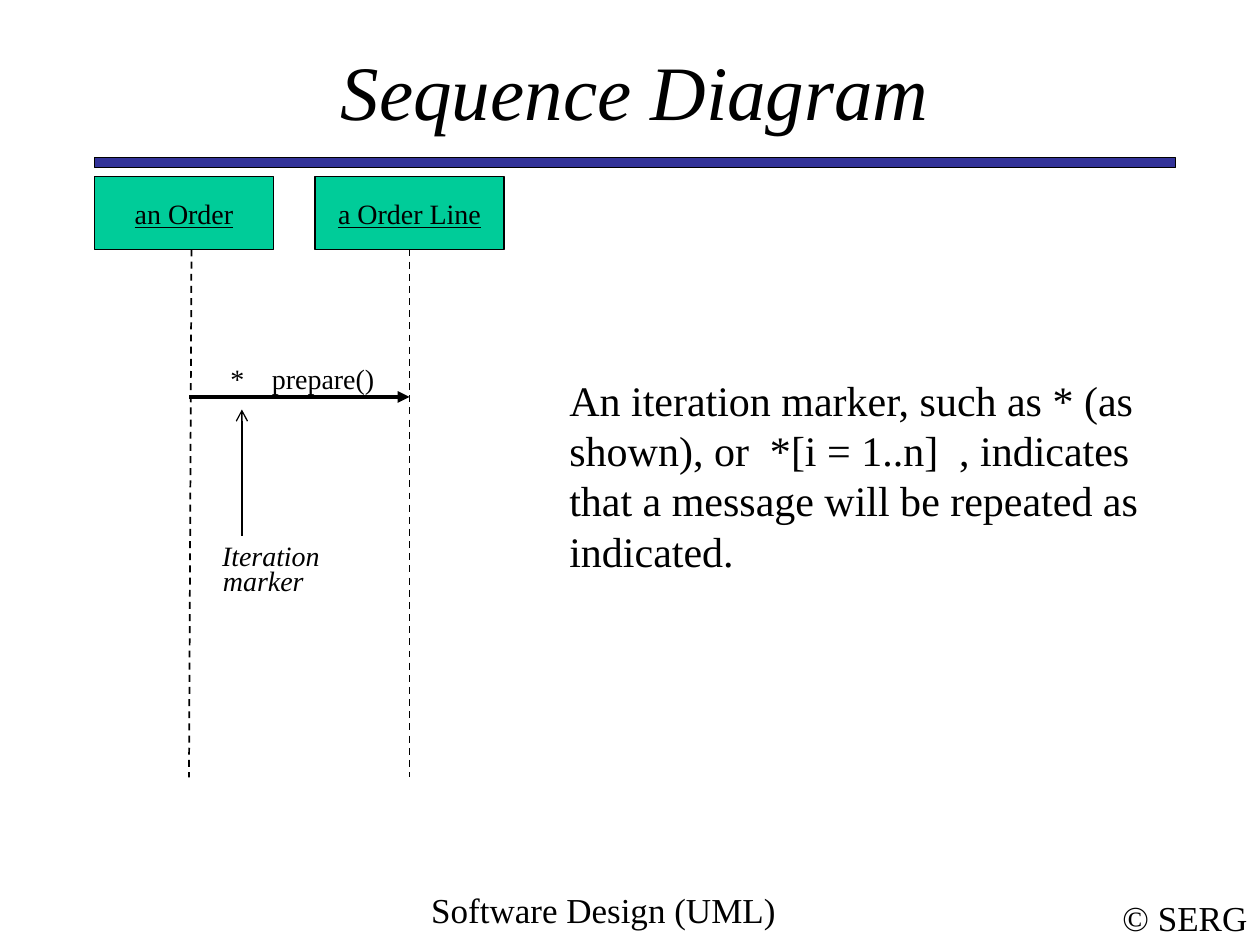
"""Build the sequence diagram slide that explains the iteration marker."""
from dataclasses import dataclass

from lxml.etree import SubElement
from pptx import Presentation
from pptx.dml.color import RGBColor
from pptx.enum.dml import MSO_LINE
from pptx.enum.shapes import MSO_CONNECTOR, MSO_SHAPE
from pptx.enum.text import MSO_ANCHOR, PP_ALIGN
from pptx.oxml.ns import qn
from pptx.util import Inches, Pt


@dataclass(frozen=True)
class Theme:
    font: str = "Times New Roman"
    ink: RGBColor = RGBColor(0x00, 0x00, 0x00)
    rule: RGBColor = RGBColor(0x33, 0x33, 0x99)
    lifeline_head: RGBColor = RGBColor(0x00, 0xCC, 0x99)
    title: int = 44
    body: int = 24
    footer: int = 20
    label: int = 16


class SlideBuilder:
    def __init__(self, slide, theme):
        self.slide = slide
        self.theme = theme

    def set_text(self, shape, text, size, align, anchor, wrap=True, italic=False, underline=False, tab=None):
        frame = shape.text_frame
        frame.word_wrap = wrap
        frame.vertical_anchor = anchor
        paragraph = frame.paragraphs[0]
        paragraph.text = text
        paragraph.alignment = align
        if tab is not None:
            tab_list = SubElement(paragraph._p.get_or_add_pPr(), qn("a:tabLst"))
            SubElement(tab_list, qn("a:tab"), pos=str(Inches(tab)), algn="l")
        font = paragraph.font
        font.name = self.theme.font
        font.size = Pt(size)
        font.color.rgb = self.theme.ink
        font.italic = italic
        font.underline = underline

    def text(self, left, top, width, height, text, size,
             align=PP_ALIGN.CENTER, anchor=MSO_ANCHOR.MIDDLE, **style):
        shape = self.slide.shapes.add_textbox(Inches(left), Inches(top), Inches(width), Inches(height))
        self.set_text(shape, text, size, align, anchor, **style)

    def rectangle(self, left, top, width, height, fill, weight):
        shape = self.slide.shapes.add_shape(
            MSO_SHAPE.RECTANGLE, Inches(left), Inches(top), Inches(width), Inches(height))
        shape.shadow.inherit = False
        shape.fill.solid()
        shape.fill.fore_color.rgb = fill
        shape.line.color.rgb = self.theme.ink
        shape.line.width = Pt(weight)
        return shape

    def participant(self, left, width, name):
        shape = self.rectangle(left, 1.4, width, 0.58, self.theme.lifeline_head, 1)
        self.set_text(shape, name, self.theme.label, PP_ALIGN.CENTER, MSO_ANCHOR.MIDDLE,
                      wrap=False, underline=True)
        return shape

    def line(self, start, end, weight, dash=None, arrow=None):
        connector = self.slide.shapes.add_connector(
            MSO_CONNECTOR.STRAIGHT, *(Inches(value) for value in (*start, *end)))
        connector.line.color.rgb = self.theme.ink
        connector.line.width = Pt(weight)
        if dash is not None:
            connector.line.dash_style = dash
        if arrow is not None:
            SubElement(connector.line._get_or_add_ln(), qn("a:tailEnd"), type=arrow)
        SubElement(connector._element.spPr, qn("a:effectLst"))
        return connector


def main():
    presentation = Presentation()
    presentation.slide_width = Inches(10)
    presentation.slide_height = Inches(7.5)
    theme = Theme()
    builder = SlideBuilder(presentation.slides.add_slide(presentation.slide_layouts[6]), theme)

    builder.text(8.81, 7.07, 1.19, 0.43, "© SERG", theme.footer, wrap=False)
    builder.rectangle(0.75, 1.25, 8.58, 0.08, theme.rule, 0.75)
    builder.text(2.58, 7, 4.42, 0.5, "Software Design (UML)", theme.footer, anchor=MSO_ANCHOR.TOP)
    builder.text(0.75, 0.42, 8.58, 0.58, "Sequence Diagram", theme.title, italic=True)

    builder.participant(0.75, 1.42, "an Order")
    order_line = builder.participant(2.5, 1.5, "a Order Line")
    builder.line((1.52, 1.98), (1.5, 6.17), 1, dash=MSO_LINE.DASH)
    order_line_lifeline = builder.line((3.25, 1.98), (3.25, 6.17), 1, dash=MSO_LINE.DASH)
    order_line_lifeline.begin_connect(order_line, 2)

    builder.line((1.5, 3.15), (3.25, 3.15), 2.25, arrow="triangle")
    builder.text(1.73, 2.82, 1.35, 0.37, "*\tprepare()", theme.label,
                 align=PP_ALIGN.LEFT, anchor=MSO_ANCHOR.TOP, wrap=False, tab=0.33)
    builder.text(4.42, 2.92, 5.08, 1.7,
                 "An iteration marker, such as * (as shown), or  *[i = 1..n]  , "
                 "indicates that a message will be repeated as indicated.",
                 theme.body, align=PP_ALIGN.LEFT)

    builder.line((1.92, 4.25), (1.92, 3.25), 0.75, arrow="arrow")
    for left, top, width, word in ((1.66, 4.22, 0.98, "Iteration"), (1.67, 4.42, 0.84, "marker")):
        builder.text(left, top, width, 0.37, word, theme.label, wrap=False, italic=True)

    presentation.save("out.pptx")


if __name__ == "__main__":
    main()
